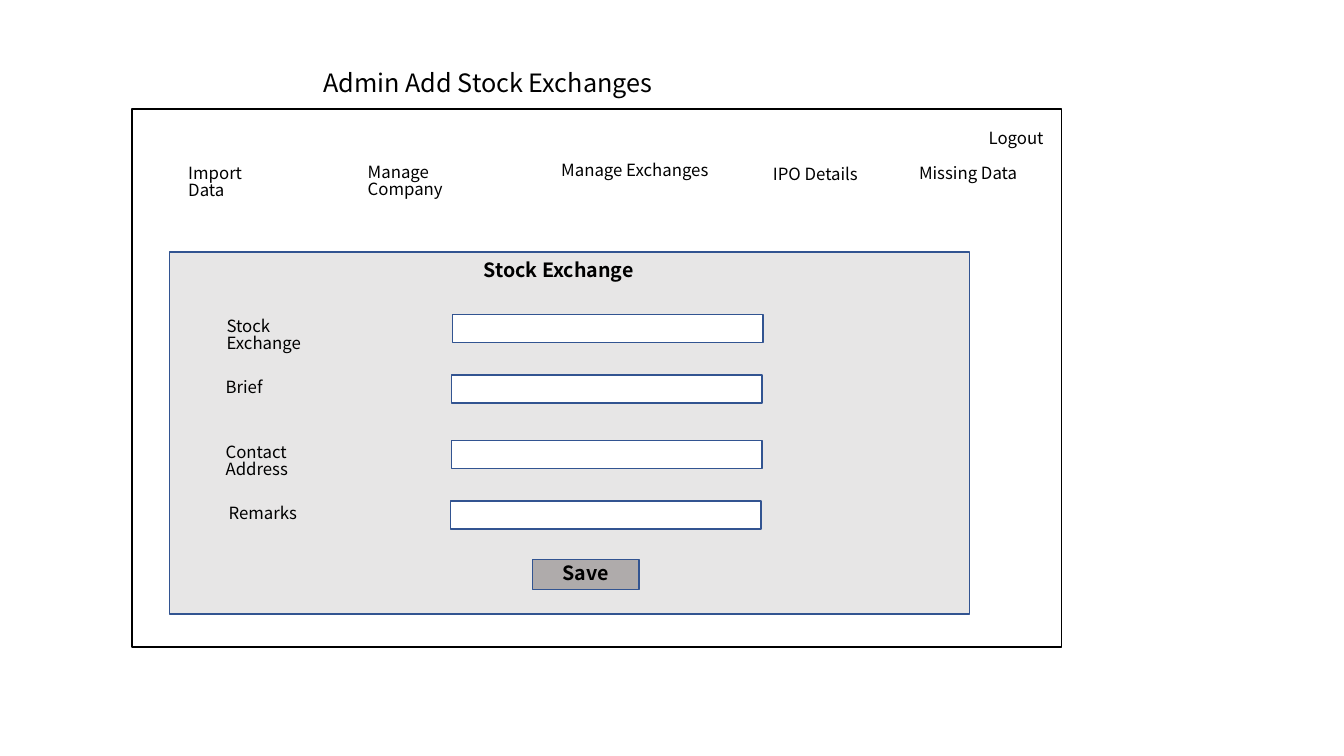
from pptx import Presentation
from pptx.dml.color import RGBColor
from pptx.enum.shapes import MSO_SHAPE
from pptx.enum.text import MSO_ANCHOR, MSO_AUTO_SIZE, PP_ALIGN
from pptx.util import Pt

RECT = MSO_SHAPE.RECTANGLE
MIDDLE = MSO_ANCHOR.MIDDLE
GROW = MSO_AUTO_SIZE.SHAPE_TO_FIT_TEXT
CENTER = PP_ALIGN.CENTER
FONT = "Noto Sans CJK SC"
COLORS = {
    "black": "000000",
    "white": "FFFFFF",
    "blue": "325491",
    "panel": "E7E6E6",
    "button": "AFABAB",
}
MENU = [
    ("Import Data", 127.4, 115.2, 77),
    ("Manage Company", 255.6, 114.5, 112.3),
    ("Manage Exchanges", 393.8, 113, 126),
    ("IPO Details", 545, 115.9, 83.5),
    ("Missing Data", 649.4, 115.2, 91.4),
    ("Logout", 699.1, 90, 77),
]
FIELDS = [
    ("Stock Exchange", 154.8, 323.3, 224.6),
    ("Brief", 154.1, 322.6, 267.8),
    ("Contact Address", 154.1, 322.6, 314.6),
    ("Remarks", 156.2, 321.8, 357.8),
]


def color(name):
    """Return the named colour."""
    return RGBColor.from_string(COLORS[name])


def write(frame, text, size, bold=False):
    """Put one styled paragraph in a text frame and return it."""
    para = frame.paragraphs[0]
    para.text = text
    para.line_spacing = 0.83
    font = para.font
    font.name, font.size, font.bold = FONT, Pt(size), bold
    font.color.rgb = color("black")
    return para


def add_box(slide, left, top, width, height, fill="white", line="blue"):
    """Draw a filled rectangle with a thin outline."""
    box = slide.shapes.add_shape(RECT, Pt(left), Pt(top), Pt(width), Pt(height))
    box.shadow.inherit = False
    box.fill.solid()
    box.fill.fore_color.rgb = color(fill)
    box.line.color.rgb = color(line)
    box.line.width = Pt(1)
    return box


def add_label(slide, text, left, top, width, size=12, bold=False):
    """Place a wrapping text label."""
    height = size * 1.2 + 7.2
    label = slide.shapes.add_textbox(Pt(left), Pt(top), Pt(width), Pt(height))
    frame = label.text_frame
    frame.word_wrap = True
    frame.auto_size = GROW
    write(frame, text, size, bold)


def add_field(slide, text, left, edge, top):
    """Place a form label and its input box."""
    add_label(slide, text, left, top, 100.8)
    add_box(slide, edge, top, 221.8, 20.2)


def add_button(slide, text, left, top, width, height):
    """Draw a button with a bold centred caption."""
    frame = add_box(slide, left, top, width, height, "button").text_frame
    frame.vertical_anchor = MIDDLE
    write(frame, text, 14, True).alignment = CENTER


def main():
    """Build the slide and save it."""
    deck = Presentation()
    deck.slide_width, deck.slide_height = Pt(960), Pt(540)
    slide = deck.slides.add_slide(deck.slide_layouts[6])
    add_box(slide, 94.3, 77.8, 663.8, 384.5, line="black")
    add_box(slide, 121, 180, 571.7, 258.5, "panel")
    add_label(slide, "Admin Add Stock Exchanges", 223.9, 48.2, 410.4, 18)
    for text, left, top, width in MENU:
        add_label(slide, text, left, top, width)
    add_label(slide, "Stock Exchange", 338.4, 183.6, 205.2, 14, True)
    for text, left, edge, top in FIELDS:
        add_field(slide, text, left, edge, top)
    add_button(slide, "Save", 380.2, 399.6, 76.3, 21.6)
    deck.save("out.pptx")


if __name__ == "__main__":
    main()
